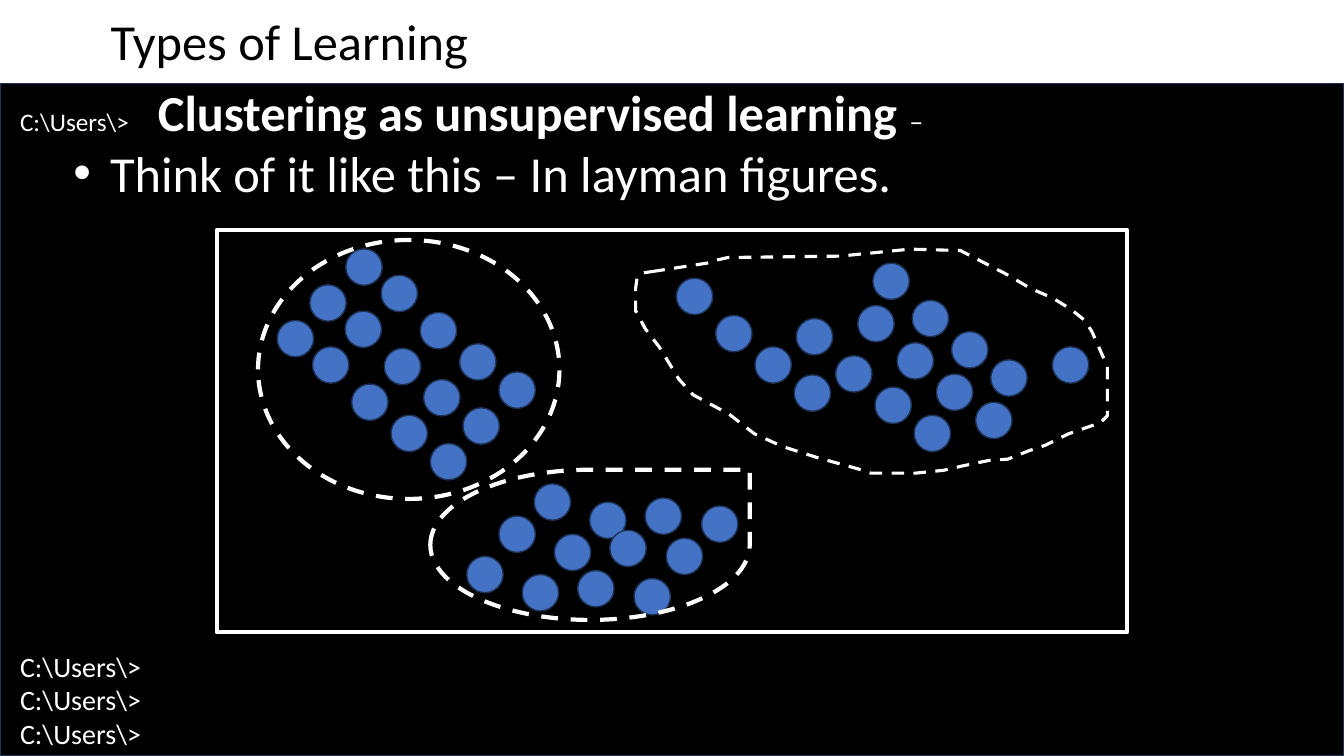
import pptx
import pptx.dml.color
import pptx.enum.dml
import pptx.enum.shapes
import pptx.util
import lxml.etree
import pptx.oxml.ns

Pt = pptx.util.Pt
SHAPES = pptx.enum.shapes.MSO_SHAPE
WHITE, BLACK, BLUE, NAVY = "FFFFFF", "000000", "4472C4", "1E3256"
PROMPT = "C:\\Users\\>"
DOT_SIZE = 26

# Each cluster: the starting dots, and the offsets repeated from every start
CLUSTERS = [
    ([(247, 177.8), (272.2, 196.6), (300.2, 223.2), (328.3, 245.5), (356.4, 265.7)],
     [(0, 0), (-25.7, 25.6), (-49, 51.1)]),
    ([(381.6, 345.6), (421.2, 358.6), (460.8, 355.7), (501.1, 361.4)],
     [(0, 0), (-25.2, 23), (-48.2, 51.8)]),
    ([(483.1, 198.7), (612.7, 218.2), (568.8, 227.5), (623.5, 187.9)],
     [(0, 0), (28.1, 26.6), (56.2, 49), (84.2, 69.1)]),
    ([(751.7, 247.7)], [(0, 0)]),
]

RIGHT_OUTLINE = [
    (465.8, 194.4), (504.7, 187.9), (511.2, 186.5), (519.8, 183.6), (600.5, 182.9),
    (649.8, 178.3), (686.2, 178.6), (719.3, 195.8), (735.8, 205.9), (752.4, 213.1),
    (765.4, 221), (775.4, 229), (780.5, 236.9), (784.1, 246.2), (791.3, 262.1),
    (790.6, 297.4), (786.2, 302.4), (763.2, 309.6), (746.6, 317.5), (735.1, 321.8),
    (720, 327.6), (705.6, 329), (686.9, 332.6), (673.9, 335.5), (653.8, 338.4),
    (622.1, 337.7), (613.4, 334.8), (583.9, 326.9), (558.7, 319), (538.6, 309.6),
    (520.6, 295.9), (494.6, 282.2), (485.3, 271.4), (470.9, 248.4), (460.8, 234.7),
    (454.3, 221.8), (454.3, 205.9), (455, 198.7), (459.4, 195.1),
]


def color(hex_string):
    return pptx.dml.color.RGBColor.from_string(hex_string)


def style_shape(shape, fill, line, width, dashed=False):
    shape.shadow.inherit = False
    if fill:
        shape.fill.solid()
        shape.fill.fore_color.rgb = color(fill)
    else:
        shape.fill.background()
    shape.line.color.rgb = color(line)
    shape.line.width = Pt(width)
    if dashed:
        shape.line.dash_style = pptx.enum.dml.MSO_LINE.DASH


def add_figure(page, kind, left, top, width, height, fill, line, line_width, dashed=False):
    shape = page.shapes.add_shape(kind, Pt(left), Pt(top), Pt(width), Pt(height))
    style_shape(shape, fill, line, line_width, dashed)


def add_outline(page, points):
    builder = page.shapes.build_freeform(*points[0], scale=Pt(1))
    builder.add_line_segments(points[1:], close=True)
    style_shape(builder.convert_to_shape(), None, WHITE, 2.25, dashed=True)


def add_frame(page, left, top, width, height):
    box = page.shapes.add_textbox(Pt(left), Pt(top), Pt(width), Pt(height))
    box.text_frame.word_wrap = True
    return box.text_frame


def add_span(para, text, size, text_color, bold=False):
    span = para.add_run()
    span.text = text
    span.font.name = "Calibri"
    span.font.size = Pt(size)
    span.font.bold = bold
    span.font.color.rgb = color(text_color)


def add_property(para, tag, **attributes):
    return lxml.etree.SubElement(para._p.get_or_add_pPr(), pptx.oxml.ns.qn(tag), attributes)


def set_tab(para, position):
    stops = add_property(para, "a:tabLst")
    lxml.etree.SubElement(stops, pptx.oxml.ns.qn("a:tab"), pos=str(Pt(position)), algn="l")


def set_bullet(para, margin, hanging):
    properties = para._p.get_or_add_pPr()
    properties.set("marL", str(Pt(margin)))
    properties.set("indent", str(-Pt(hanging)))
    add_property(para, "a:buFont", typeface="Arial")
    add_property(para, "a:buChar", char="•")


def add_console_text(page):
    frame = add_frame(page, 7.2, 54.7, 899.3, 487.4)
    heading = frame.paragraphs[0]
    set_tab(heading, 98.5)
    add_span(heading, PROMPT + "\t", 18, WHITE)
    add_span(heading, "Clustering as unsupervised learning ", 36, WHITE, bold=True)
    add_span(heading, "–", 20, WHITE)

    point = frame.add_paragraph()
    set_bullet(point, 56.2, 18)
    add_span(point, " Think of it like this – In layman figures.", 36, WHITE)

    # Prompts at the foot of the console, below the diagram
    for gap in (319, 0, 0):
        para = frame.add_paragraph()
        para.space_before = Pt(gap)
        add_span(para, PROMPT, 20, WHITE)


def main():
    deck = pptx.Presentation()
    deck.slide_width, deck.slide_height = Pt(960), Pt(540)
    page = deck.slides.add_slide(deck.slide_layouts[6])

    # Console background, title and text
    add_figure(page, SHAPES.RECTANGLE, 0, 59.8, 960, 480.2, BLACK, NAVY, 1)
    title = add_frame(page, 72, 3.6, 424.8, 51.1)
    add_span(title.paragraphs[0], "Types of Learning", 36, BLACK)
    add_console_text(page)

    # Diagram frame and dots
    add_figure(page, SHAPES.RECTANGLE, 154.8, 164.2, 650.2, 287.3, None, WHITE, 3)
    for starts, offsets in CLUSTERS:
        for left, top in starts:
            for across, down in offsets:
                add_figure(page, SHAPES.OVAL, left + across, top + down,
                           DOT_SIZE, DOT_SIZE, BLUE, NAVY, 1)

    # Dashed cluster outlines
    add_figure(page, SHAPES.OVAL, 184.3, 171.4, 215.3, 185, None, WHITE, 3, dashed=True)
    add_figure(page, SHAPES.TEAR, 307.4, 335.5, 228.2, 107.3, None, WHITE, 3, dashed=True)
    add_outline(page, RIGHT_OUTLINE)

    deck.save("out.pptx")


if __name__ == "__main__":
    main()
